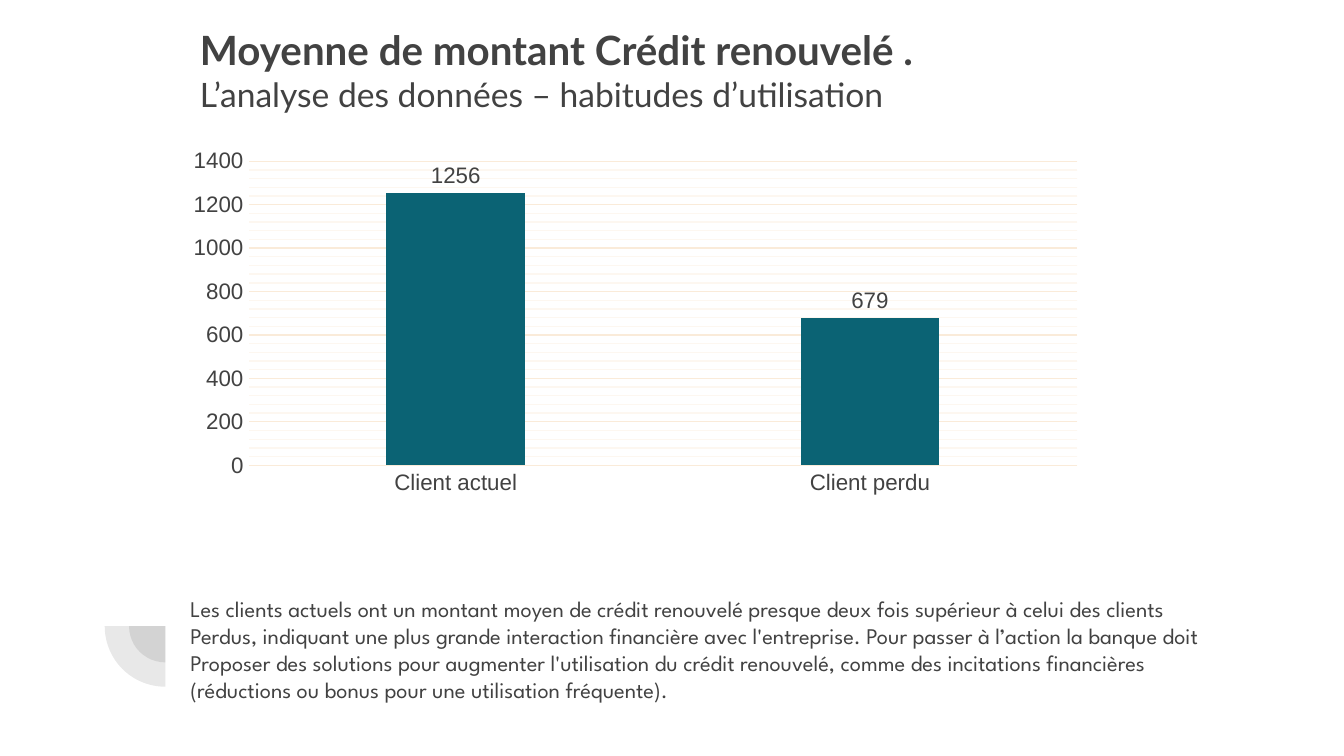
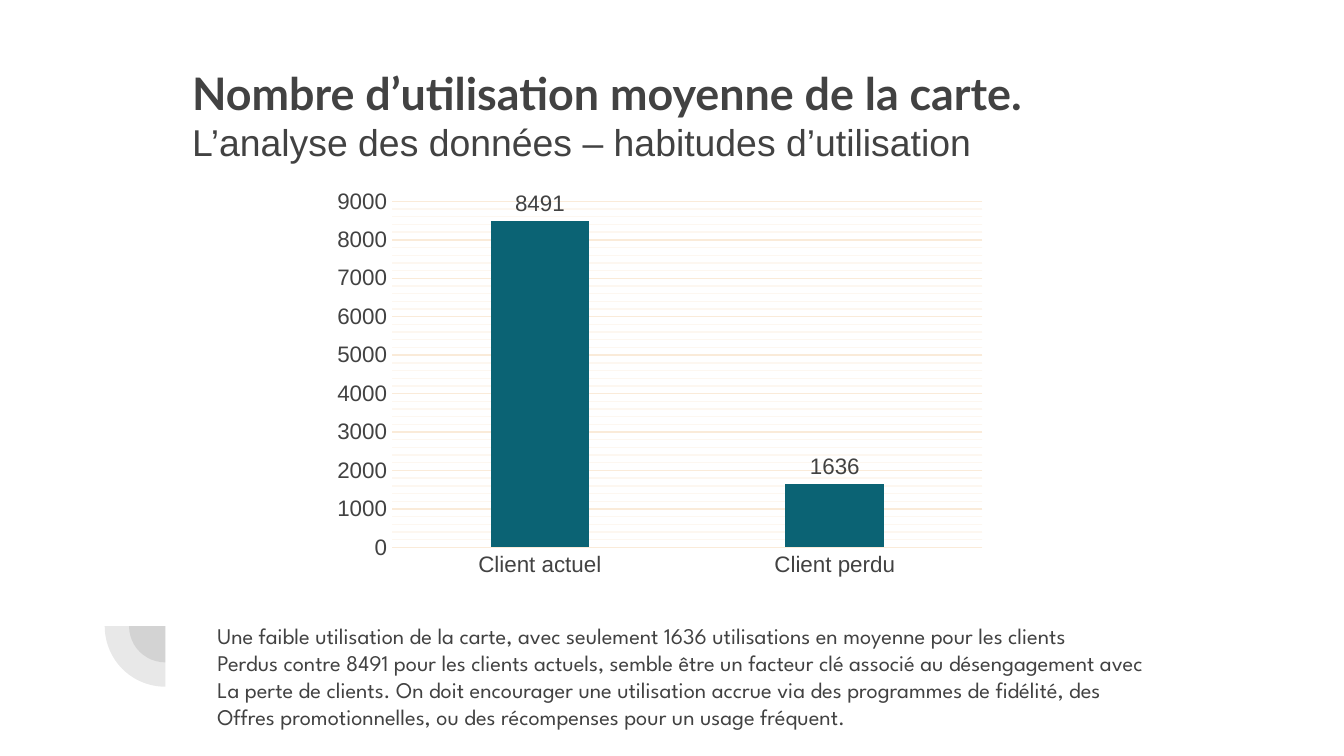
from dataclasses import dataclass
from typing import Optional

import lxml.etree
import pptx
import pptx.chart.data
import pptx.dml.color
import pptx.enum.chart
import pptx.enum.shapes
import pptx.enum.text
import pptx.oxml.ns
import pptx.util
from pptx.util import Cm

INK = "424242"
TEAL = "0B6374"
GRID = "FAEBD9"
MINOR_GRID = "FDF7F0"
GRID_WIDTH = pptx.util.Pt(0.75)
HEADING_FONT = "Lato"
BODY_FONT = "League Spartan"
CHART_FONT = "Arial"
SUBTITLE = "L’analyse des données – habitudes d’utilisation"
CATEGORIES = ["Client actuel", "Client perdu"]


@dataclass(frozen=True)
class Frame:
    left: float
    top: float
    width: float
    height: float

    def lengths(self) -> tuple:
        return Cm(self.left), Cm(self.top), Cm(self.width), Cm(self.height)


@dataclass(frozen=True)
class PlotArea:
    x: float
    y: float
    w: float
    h: float


@dataclass(frozen=True)
class ChartPage:
    title: str
    title_size: float
    subtitle_size: float
    subtitle_font: str
    title_frame: Frame
    chart_frame: Frame
    values: tuple
    axis_maximum: int
    axis_step: int
    lines: tuple
    lines_frame: Frame
    plot_area: Optional[PlotArea] = None


PIES = (Frame(2.44, 11.15, 1.37, 1.37), Frame(1.98, 10.69, 2.29, 2.29))

PAGES = (
    ChartPage(
        title="Moyenne de montant Crédit renouvelé .",
        title_size=21.6,
        subtitle_size=18,
        subtitle_font=HEADING_FONT,
        title_frame=Frame(3.53, 0.23, 17.42, 2.77),
        chart_frame=Frame(3.66, 1.83, 16.71, 8.71),
        values=(1256, 679),
        axis_maximum=1400,
        axis_step=200,
        lines=(
            "Les clients actuels ont un montant moyen de crédit renouvelé presque deux fois supérieur à celui des clients",
            "Perdus, indiquant une plus grande interaction financière avec l'entreprise. Pour passer à l’action la banque doit",
            "Proposer des solutions pour augmenter l'utilisation du crédit renouvelé, comme des incitations financières",
            "(réductions ou bonus pour une utilisation fréquente).",
        ),
        lines_frame=Frame(2.72, 11, 22.12, 2.74),
        plot_area=PlotArea(0.06, 0.14, 0.94, 0.66),
    ),
    ChartPage(
        title="Nombre d’utilisation moyenne de la carte.",
        title_size=24,
        subtitle_size=20,
        subtitle_font=CHART_FONT,
        title_frame=Frame(3.38, 0.99, 19.53, 2.77),
        chart_frame=Frame(6.12, 3.43, 12.7, 7.62),
        values=(8491, 1636),
        axis_maximum=9000,
        axis_step=1000,
        lines=(
            "Une faible utilisation de la carte, avec seulement 1636 utilisations en moyenne pour les clients",
            "Perdus contre 8491 pour les clients actuels, semble être un facteur clé associé au désengagement avec",
            "La perte de clients. On doit encourager une utilisation accrue via des programmes de fidélité, des",
            "Offres promotionnelles, ou des récompenses pour un usage fréquent.",
        ),
        lines_frame=Frame(3.23, 11.51, 21.74, 1.83),
    ),
)


def color(value: str) -> pptx.dml.color.RGBColor:
    return pptx.dml.color.RGBColor.from_string(value)


def set_font(font, name: str, size: float, bold: bool = False) -> None:
    font.name = name
    font.size = pptx.util.Pt(size)
    font.bold = bold
    font.color.rgb = color(INK)


def set_line(line, value: str) -> None:
    line.color.rgb = color(value)
    line.width = GRID_WIDTH


def add_element(parent, tag: str, **attributes: str):
    return lxml.etree.SubElement(parent, pptx.oxml.ns.qn(tag), **attributes)


def draw_pie(page, frame: Frame) -> None:
    pie = page.shapes.add_shape(pptx.enum.shapes.MSO_SHAPE.PIE, *frame.lengths())
    pie.adjustments[0] = 107.93
    pie.adjustments[1] = 162
    pie.rotation = 270
    pie.shadow.inherit = False
    pie.line.fill.background()
    pie.fill.solid()
    pie.fill.fore_color.rgb = color(INK)
    tint = next(pie._element.spPr.iter(pptx.oxml.ns.qn("a:srgbClr")))
    add_element(tint, "a:alpha", val="12000")


def add_text_frame(page, frame: Frame):
    box = page.shapes.add_textbox(*frame.lengths())
    text = box.text_frame
    text.word_wrap = True
    text.vertical_anchor = pptx.enum.text.MSO_ANCHOR.TOP
    text.margin_left = text.margin_right = Cm(0.25)
    text.margin_top = text.margin_bottom = Cm(0.25)
    return text


def draw_title(page, content: ChartPage) -> None:
    para = add_text_frame(page, content.title_frame).paragraphs[0]
    span = para.add_run()
    span.text = content.title
    set_font(span.font, HEADING_FONT, content.title_size, bold=True)
    para.add_line_break()
    span = para.add_run()
    span.text = SUBTITLE
    set_font(span.font, content.subtitle_font, content.subtitle_size)


def draw_lines(page, content: ChartPage) -> None:
    text = add_text_frame(page, content.lines_frame)
    for index, line in enumerate(content.lines):
        para = text.add_paragraph() if index else text.paragraphs[0]
        para.text = line
        properties = para._p.get_or_add_pPr()
        properties.set("marL", str(Cm(1.27)))
        properties.set("indent", str(-Cm(0.64)))
        set_font(para.font, BODY_FONT, 12)


def place_plot(chart, area: PlotArea) -> None:
    qn = pptx.oxml.ns.qn
    plot = next(chart._chartSpace.iter(qn("c:plotArea")))
    layout = plot.find(qn("c:layout"))
    if layout is None:
        layout = add_element(plot, "c:layout")
        plot.insert(0, layout)
    manual = add_element(layout, "c:manualLayout")
    settings = {"layoutTarget": "inner", "xMode": "edge", "yMode": "edge",
                "x": area.x, "y": area.y, "w": area.w, "h": area.h}
    for name, value in settings.items():
        add_element(manual, f"c:{name}", val=str(value))


def draw_minor_gridlines(axis) -> None:
    axis.has_minor_gridlines = True
    gridlines = axis._element.find(pptx.oxml.ns.qn("c:minorGridlines"))
    line = add_element(add_element(gridlines, "c:spPr"), "a:ln", w=str(GRID_WIDTH))
    add_element(add_element(line, "a:solidFill"), "a:srgbClr", val=MINOR_GRID)


def draw_chart(page, content: ChartPage) -> None:
    data = pptx.chart.data.CategoryChartData(number_format="0")
    data.categories = CATEGORIES
    data.add_series("Series 1", content.values)
    chart = page.shapes.add_chart(
        pptx.enum.chart.XL_CHART_TYPE.COLUMN_CLUSTERED,
        *content.chart_frame.lengths(), data).chart
    chart.has_legend = False
    chart.has_title = False
    set_font(chart.font, CHART_FONT, 12)

    for axis in (chart.category_axis, chart.value_axis):
        axis.major_tick_mark = pptx.enum.chart.XL_TICK_MARK.NONE
        axis.minor_tick_mark = pptx.enum.chart.XL_TICK_MARK.NONE
        set_font(axis.tick_labels.font, CHART_FONT, 12)
    set_line(chart.category_axis.format.line, GRID)

    scale = chart.value_axis
    scale.minimum_scale = 0
    scale.maximum_scale = content.axis_maximum
    scale.major_unit = content.axis_step
    scale.minor_unit = content.axis_step / 5
    scale.tick_labels.number_format = "0"
    scale.tick_labels.number_format_is_linked = False
    scale.format.line.fill.background()
    scale.has_major_gridlines = True
    set_line(scale.major_gridlines.format.line, GRID)
    draw_minor_gridlines(scale)

    plot = chart.plots[0]
    plot.gap_width = 199
    plot.vary_by_categories = False
    series = plot.series[0]
    series.format.fill.solid()
    series.format.fill.fore_color.rgb = color(TEAL)
    labels = series.data_labels
    labels.show_value = True
    labels.number_format = "0"
    labels.number_format_is_linked = False
    labels.position = pptx.enum.chart.XL_LABEL_POSITION.OUTSIDE_END
    set_font(labels.font, CHART_FONT, 12)
    if content.plot_area:
        place_plot(chart, content.plot_area)


def draw_page(deck, content: ChartPage) -> None:
    page = deck.slides.add_slide(deck.slide_layouts[6])
    for frame in PIES:
        draw_pie(page, frame)
    draw_lines(page, content)
    draw_title(page, content)
    draw_chart(page, content)


def main() -> None:
    deck = pptx.Presentation()
    deck.slide_width = Cm(25.4)
    deck.slide_height = Cm(14.29)
    for content in PAGES:
        draw_page(deck, content)
    deck.save("out.pptx")


if __name__ == "__main__":
    main()
